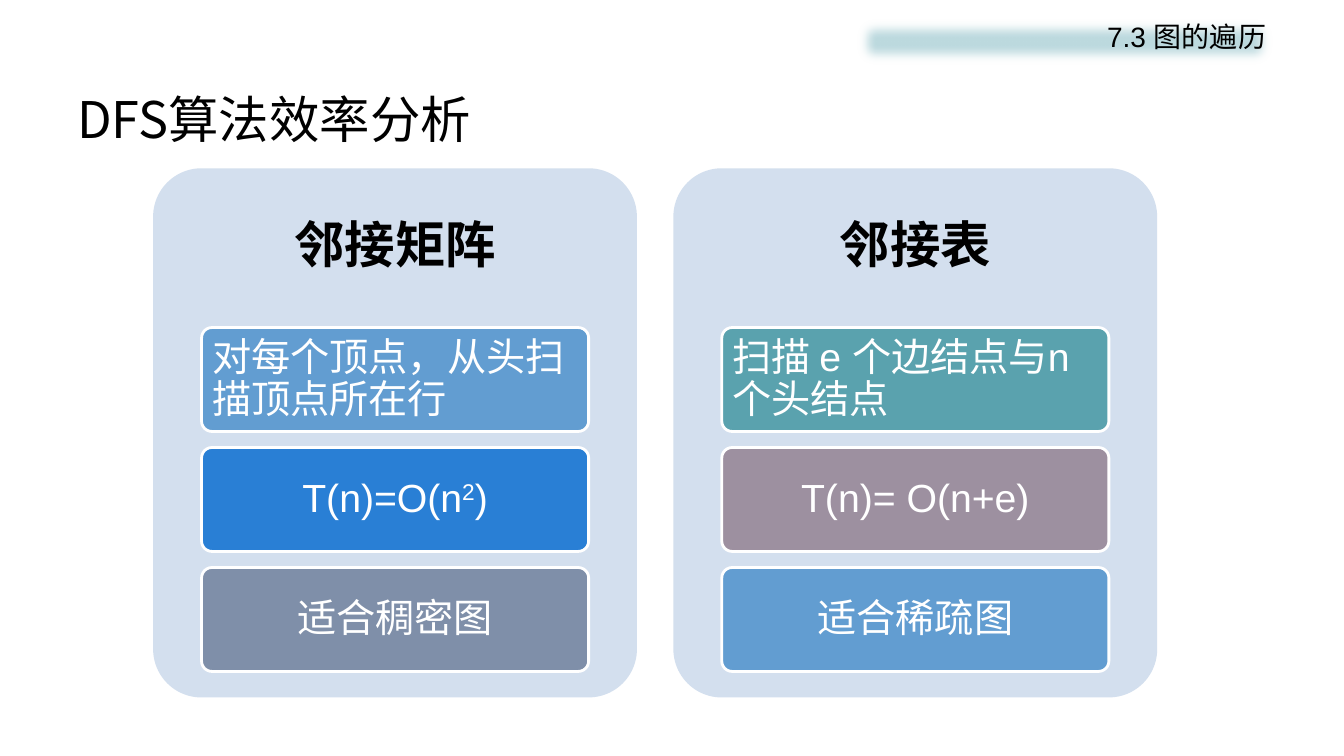
import pptx
import pptx.dml.color
import pptx.enum.shapes
import pptx.enum.text
import pptx.oxml.ns
import pptx.util
from lxml import etree

Pt = pptx.util.Pt
RGBColor = pptx.dml.color.RGBColor
Align = pptx.enum.text.PP_ALIGN
Anchor = pptx.enum.text.MSO_ANCHOR
Shape = pptx.enum.shapes.MSO_SHAPE
qn = pptx.oxml.ns.qn

BLACK = RGBColor(0x00, 0x00, 0x00)
WHITE = RGBColor(0xFF, 0xFF, 0xFF)
PANEL = RGBColor(0xD3, 0xDF, 0xEE)
SKY = RGBColor(0x62, 0x9D, 0xD1)
BLUE = RGBColor(0x29, 0x7F, 0xD5)
SLATE = RGBColor(0x7F, 0x8F, 0xA9)
TEAL = RGBColor(0x5A, 0xA2, 0xAE)
MAUVE = RGBColor(0x9D, 0x90, 0xA0)
HEADER = RGBColor(0xBD, 0xDA, 0xDF)

LATIN_FONT = "Arial"
CJK_FONT = "Noto Sans CJK SC"

PANEL_LEFT, PANEL_TOP, PANEL_WIDTH, PANEL_HEIGHT = 109.4, 120.2, 345.6, 378
PANEL_PITCH = 371.6
HEADING_HEIGHT = 113.4
CARD_INDENT, CARD_TOP, CARD_WIDTH, CARD_HEIGHT = 34.6, 234, 276.5, 74.2
CARD_PITCH = 85.7

# Each card: fill, alignment, runs as (text, is superscript)
PANELS = [
    ("邻接矩阵", [
        (SKY, Align.LEFT, [("对每个顶点，从头扫描顶点所在行", False)]),
        (BLUE, Align.CENTER, [("T(n)=O(n", False), ("2", True), (")", False)]),
        (SLATE, Align.CENTER, [("适合稠密图", False)]),
    ]),
    ("邻接表", [
        (TEAL, Align.LEFT, [("扫描 e 个边结点与n个头结点", False)]),
        (MAUVE, Align.CENTER, [("T(n)= O(n+e)", False)]),
        (SKY, Align.CENTER, [("适合稀疏图", False)]),
    ]),
]


class SlideBuilder:
    def __init__(self, slide):
        self.slide = slide

    def fill_text(self, shape, runs, size, color, align=Align.LEFT, anchor=Anchor.MIDDLE,
                  bold=False, font=LATIN_FONT, insets=(7.2, 3.6), spacing=None):
        frame = shape.text_frame
        frame.word_wrap = True
        frame.vertical_anchor = anchor
        frame.margin_left = frame.margin_right = Pt(insets[0])
        frame.margin_top = frame.margin_bottom = Pt(insets[1])
        paragraph = frame.paragraphs[0]
        paragraph.alignment = align
        paragraph.line_spacing = spacing
        for text, superscript in runs:
            run = paragraph.add_run()
            run.text = text
            run.font.size = Pt(size)
            run.font.bold = bold
            run.font.color.rgb = color
            run.font.name = font
            properties = run.font._element
            etree.SubElement(properties, qn("a:ea")).set("typeface", CJK_FONT)
            if superscript:
                properties.set("baseline", "30000")

    def text(self, left, top, width, height, text, size, **style):
        box = self.slide.shapes.add_textbox(Pt(left), Pt(top), Pt(width), Pt(height))
        self.fill_text(box, [(text, False)], size, BLACK, **style)

    def block(self, kind, left, top, width, height, fill, outlined=False):
        shape = self.slide.shapes.add_shape(kind, Pt(left), Pt(top), Pt(width), Pt(height))
        shape.shadow.inherit = False
        shape.fill.solid()
        shape.fill.fore_color.rgb = fill
        if outlined:
            shape.line.color.rgb = WHITE
            shape.line.width = Pt(2)
        else:
            shape.line.fill.background()
        if kind == Shape.ROUNDED_RECTANGLE:
            shape.adjustments[0] = 0.1
        return shape

    def header(self, text):
        """Section label on a bar with soft edges."""
        bar = self.block(Shape.RECTANGLE, 609.1, 10.1, 302.4, 38.9, HEADER)
        effects = bar._element.spPr.find(qn("a:effectLst"))
        etree.SubElement(effects, qn("a:softEdge")).set("rad", "112500")
        self.fill_text(bar, [(text, False)], 20, BLACK, align=Align.RIGHT, anchor=Anchor.TOP)

    def panel(self, left, heading, cards):
        self.block(Shape.ROUNDED_RECTANGLE, left, PANEL_TOP, PANEL_WIDTH, PANEL_HEIGHT, PANEL)
        self.text(left, PANEL_TOP, PANEL_WIDTH, HEADING_HEIGHT, heading, 36, bold=True,
                  align=Align.CENTER, insets=(10.8, 10.8), spacing=0.9)
        for row, (fill, align, runs) in enumerate(cards):
            card = self.block(Shape.ROUNDED_RECTANGLE, left + CARD_INDENT,
                              CARD_TOP + row * CARD_PITCH, CARD_WIDTH, CARD_HEIGHT,
                              fill, outlined=True)
            self.fill_text(card, runs, 28, WHITE, align=align, insets=(5.4, 4.2), spacing=0.9)


def main():
    presentation = pptx.Presentation()
    presentation.slide_width = Pt(960)
    presentation.slide_height = Pt(540)
    builder = SlideBuilder(presentation.slides.add_slide(presentation.slide_layouts[6]))
    builder.text(48, 57.6, 864, 54, "DFS算法效率分析", 36, font=CJK_FONT)
    for column, (heading, cards) in enumerate(PANELS):
        builder.panel(PANEL_LEFT + column * PANEL_PITCH, heading, cards)
    builder.header("7.3 图的遍历")
    presentation.save("out.pptx")


if __name__ == "__main__":
    main()
